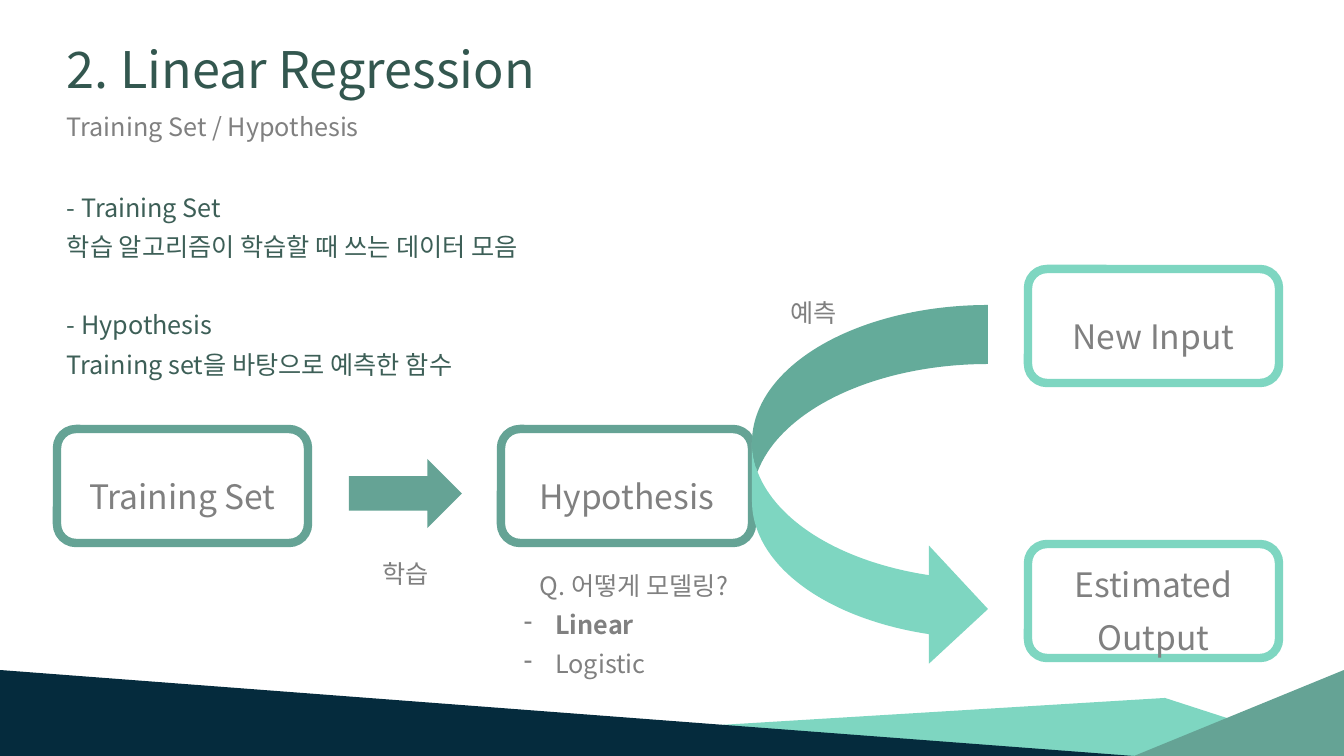
import pptx
import pptx.dml.color
import pptx.enum.shapes
import pptx.enum.text
import pptx.util
from lxml import etree

RGBColor = pptx.dml.color.RGBColor
SHAPE = pptx.enum.shapes.MSO_SHAPE
ALIGN = pptx.enum.text.PP_ALIGN
ANCHOR = pptx.enum.text.MSO_ANCHOR
AUTO_SIZE = pptx.enum.text.MSO_AUTO_SIZE

NAVY = RGBColor(0x05, 0x2B, 0x3D)
MINT = RGBColor(0x7E, 0xD6, 0xC1)
SAGE = RGBColor(0x65, 0xA3, 0x95)
TITLE_GREEN = RGBColor(0x33, 0x57, 0x4F)
BODY_GREEN = RGBColor(0x3D, 0x5F, 0x57)
GRAY = RGBColor(0x80, 0x80, 0x80)

FONT = "Noto Sans CJK KR"
EMU_PER_PX = 914400 / 100.8
SLIDE_W, SLIDE_H = 1344, 756
BOX_W, BOX_H = 251, 114
LABEL_W, LABEL_H = 113, 44


def px(length):
    return pptx.util.Emu(round(length * EMU_PER_PX))


class SlideBuilder:
    def __init__(self, slide):
        self.shapes = slide.shapes

    def paint(self, shape, fill=None, line=None):
        shape.shadow.inherit = False
        if fill is None:
            shape.fill.background()
        else:
            shape.fill.solid()
            shape.fill.fore_color.rgb = fill
        if line is None:
            shape.line.fill.background()
        else:
            shape.line.color.rgb = line
            shape.line.width = pptx.util.Pt(6)

    def shape(self, kind, x, y, w, h, fill=None, line=None):
        shape = self.shapes.add_shape(kind, px(x), px(y), px(w), px(h))
        self.paint(shape, fill, line)
        return shape

    def polygon(self, points, fill):
        builder = self.shapes.build_freeform(*points[0], scale=EMU_PER_PX)
        builder.add_line_segments(points[1:], close=True)
        self.paint(builder.convert_to_shape(), fill)

    def text(self, x, y, w, h, lines, size=18, color=GRAY, align=ALIGN.LEFT,
             spacing=1.3, heading=False):
        box = self.shapes.add_textbox(px(x), px(y), px(w), px(h))
        frame = box.text_frame
        frame.text = "\n".join(lines)
        frame.word_wrap = True
        if heading:
            frame.vertical_anchor = ANCHOR.MIDDLE
        else:
            frame.auto_size = AUTO_SIZE.SHAPE_TO_FIT_TEXT
        for paragraph in frame.paragraphs:
            paragraph.alignment = align
            paragraph.line_spacing = spacing
            for run in paragraph.runs:
                run.font.size = pptx.util.Pt(size)
                run.font.name = FONT
                run.font.color.rgb = color
                # Korean glyphs take the East Asian typeface
                latin = run.font._element.find(pptx.oxml.ns.qn("a:latin"))
                east_asian = etree.Element(pptx.oxml.ns.qn("a:ea"), typeface=FONT)
                latin.addnext(east_asian)
        return frame.paragraphs

    def bullet(self, paragraph):
        paragraph.alignment = ALIGN.JUSTIFY
        properties = paragraph._p.get_or_add_pPr()
        properties.set("marL", "285750")
        properties.set("indent", "-285750")
        etree.SubElement(properties, pptx.oxml.ns.qn("a:buChar"), char="-")

    def stage(self, x, y, name, color, text_top=30, text_h=55):
        self.shape(SHAPE.ROUNDED_RECTANGLE, x, y, BOX_W, BOX_H, line=color)
        self.text(x + 16, y + text_top, BOX_W - 32, text_h, [name],
                  size=24, align=ALIGN.CENTER)

    def label(self, x, y, caption):
        self.text(x, y, LABEL_W, LABEL_H, [caption], align=ALIGN.CENTER)


def main():
    deck = pptx.Presentation()
    deck.slide_width, deck.slide_height = px(SLIDE_W), px(SLIDE_H)
    page = SlideBuilder(deck.slides.add_slide(deck.slide_layouts[6]))

    # Footer landscape
    slope_top, slope_w = 670, 1134
    slope_h = SLIDE_H - slope_top
    page.polygon([(1165, 698), (SLIDE_W, SLIDE_H), (210, SLIDE_H)], MINT)
    page.shape(SHAPE.RIGHT_TRIANGLE, 0, slope_top, slope_w, slope_h, NAVY)
    right_slope = page.shape(SHAPE.RIGHT_TRIANGLE, slope_w, slope_top,
                             SLIDE_W - slope_w, slope_h, SAGE)
    right_slope._element.spPr.find(pptx.oxml.ns.qn("a:xfrm")).set("flipH", "1")

    # Headings
    page.text(57, 47, 1152, 51, ["2. Linear Regression"], size=36,
              color=TITLE_GREEN, spacing=0.9, heading=True)
    subtitle = page.text(57, 108, 621, 28, ["Training Set / Hypothesis"], heading=True)
    subtitle[0].space_before = pptx.util.Pt(10)

    # Definitions
    definitions = page.text(57, 178, 1221, 209, [
        "- Training Set",
        "학습 알고리즘이 학습할 때 쓰는 데이터 모음",
        "- Hypothesis",
        "Training set을 바탕으로 예측한 함수",
    ], color=BODY_GREEN)
    definitions[2].space_before = pptx.util.Pt(28)

    # Learning: training set to hypothesis
    page.stage(57, 429, "Training Set", SAGE)
    page.stage(501, 429, "Hypothesis", SAGE)
    page.shape(SHAPE.RIGHT_ARROW, 349, 459, LABEL_W, 69, SAGE)
    page.label(349, 544, "학습")

    # Prediction: new input to estimated output
    page.shape(SHAPE.CURVED_RIGHT_ARROW, 752, 305, 236, 363, MINT)
    page.stage(1028, 269, "New Input", MINT)
    page.stage(1028, 544, "Estimated Output", MINT, text_top=3, text_h=109)
    page.label(757, 283, "예측")

    # Modelling question
    question, *models = page.text(514, 556, 240, 129,
                                  ["Q. 어떻게 모델링?", "Linear", "Logistic"],
                                  align=ALIGN.CENTER)
    for model in models:
        page.bullet(model)
    models[0].runs[0].font.bold = True

    deck.save("out.pptx")


if __name__ == "__main__":
    main()
